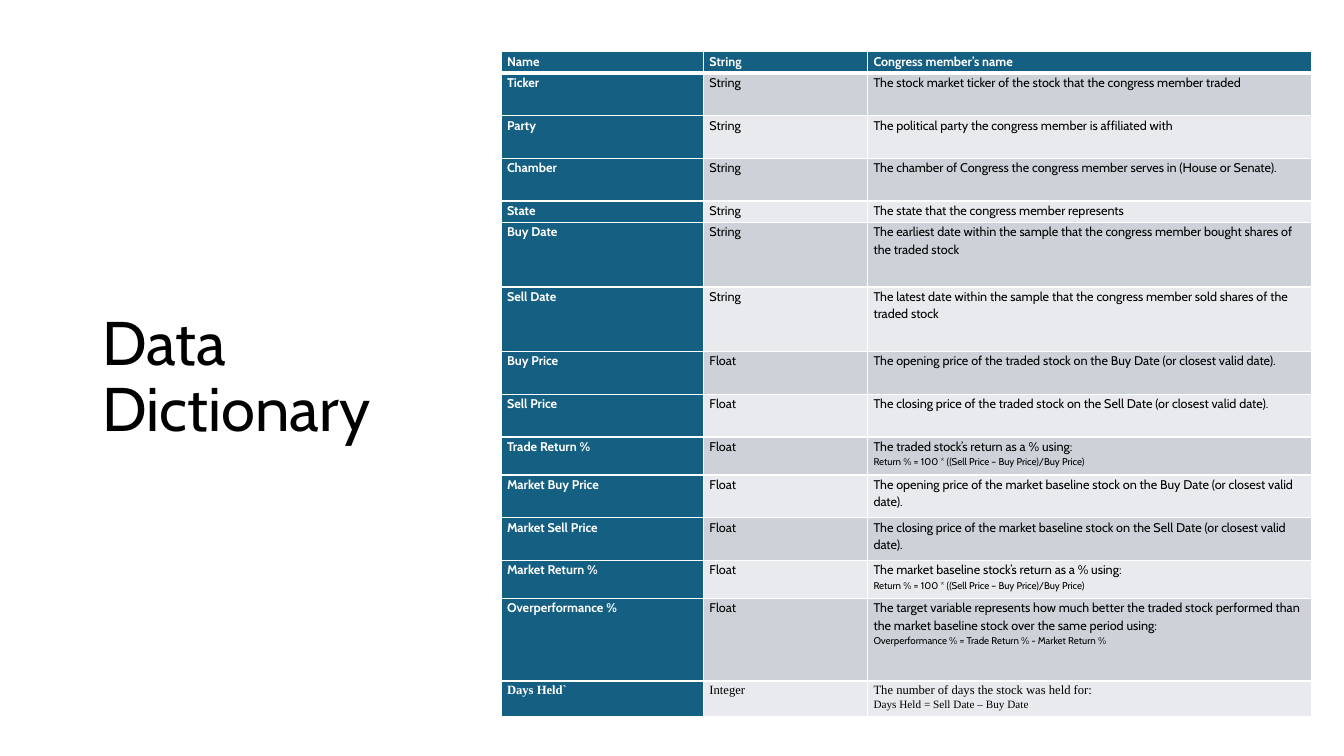
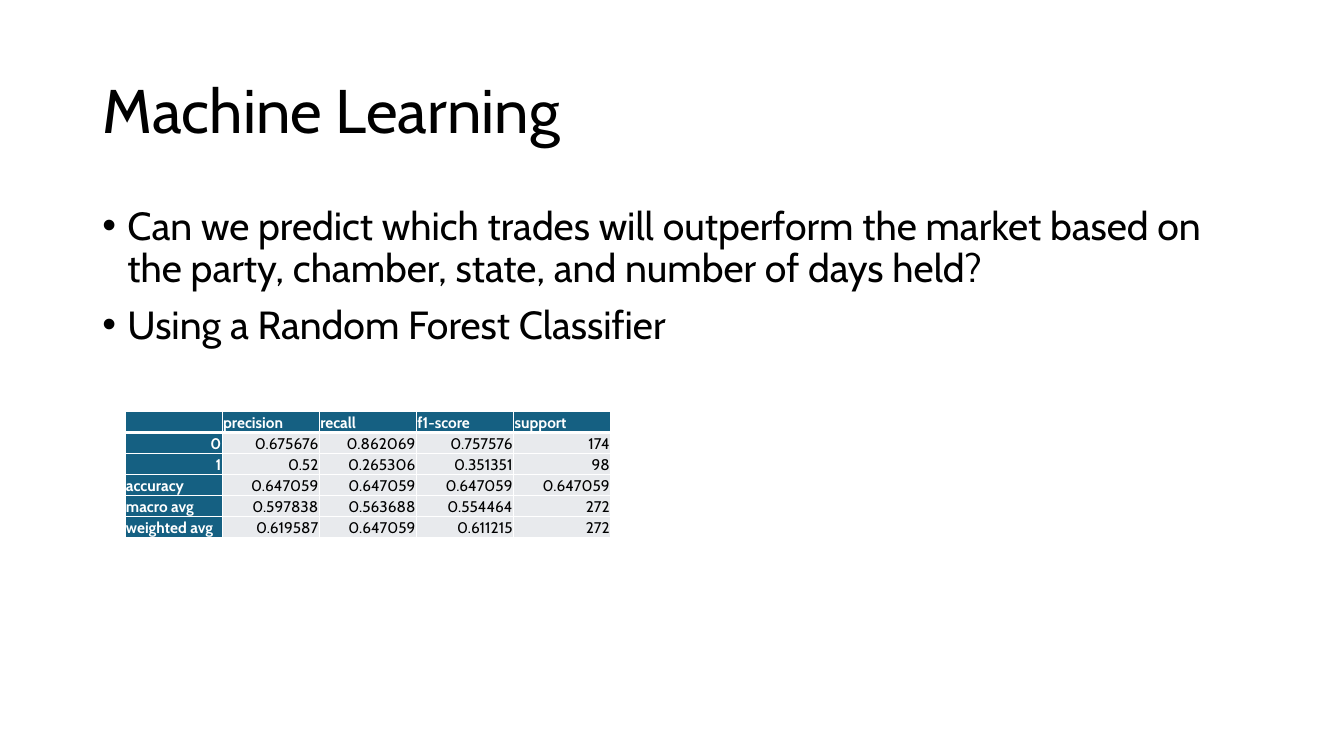
import dataclasses

import lxml.etree
import pptx
import pptx.dml.color
import pptx.enum.text
import pptx.oxml.ns
import pptx.util

Pt = pptx.util.Pt
ALIGN = pptx.enum.text.PP_ALIGN
ANCHOR = pptx.enum.text.MSO_ANCHOR


@dataclasses.dataclass(frozen=True)
class Theme:
    font: str = "Cabin"
    serif: str = "Times New Roman"
    ink: str = "000000"
    white: str = "FFFFFF"
    header: str = "156082"
    band_dark: str = "CCD2D8"
    band_light: str = "E8EAED"
    title_size: float = 44
    body_size: float = 28
    dictionary_size: float = 9
    formula_size: float = 7
    score_size: float = 11
    rule: float = 1
    header_rule: float = 3


THEME = Theme()
SLIDE_SIZE = (960, 540)
TITLE_ONLY = 5
RETURN_FORMULA = "Return % = 100 * ((Sell Price – Buy Price)/Buy Price)"

# Row height, then name, type, description and an optional formula.
DICTIONARY = [
    (15.2, "Name", "String", "Congress member’s name"),
    (30.5, "Ticker", "String", "The stock market ticker of the stock that the congress member traded"),
    (30.5, "Party", "String", "The political party the congress member is affiliated with"),
    (30.5, "Chamber", "String", "The chamber of Congress the congress member serves in (House or Senate)."),
    (15.2, "State", "String", "The state that the congress member represents"),
    (46.2, "Buy Date", "String",
     "The earliest date within the sample that the congress member bought shares of the traded stock"),
    (46.2, "Sell Date", "String",
     "The latest date within the sample that the congress member sold shares of the traded stock"),
    (30.5, "Buy Price", "Float",
     "The opening price of the traded stock on the Buy Date (or closest valid date)."),
    (30.5, "Sell Price", "Float",
     "The closing price of the traded stock on the Sell Date (or closest valid date)."),
    (27.2, "Trade Return %", "Float", "The traded stock’s return as a % using:", RETURN_FORMULA),
    (30.5, "Market Buy Price", "Float",
     "The opening price of the market baseline stock on the Buy Date (or closest valid date)."),
    (30.5, "Market Sell Price", "Float",
     "The closing price of the market baseline stock on the Sell Date (or closest valid date)."),
    (27.2, "Market Return %", "Float", "The market baseline stock’s return as a % using:", RETURN_FORMULA),
    (59, "Overperformance %", "Float",
     "The target variable represents how much better the traded stock performed than the market "
     "baseline stock over the same period using:",
     "Overperformance % = Trade Return % - Market Return %"),
    (25.2, "Days Held`", "Integer", "The number of days the stock was held for:",
     "Days Held = Sell Date – Buy Date"),
]
DICTIONARY_COLUMNS = [144.6, 117.2, 317.2]

QUESTIONS = [
    "Can we predict which trades will outperform the market based on the party, chamber, state, "
    "and number of days held?",
    "Using a Random Forest Classifier",
]
SCORES = [
    ("", "precision", "recall", "f1-score", "support"),
    ("0", "0.675676", "0.862069", "0.757576", "174"),
    ("1", "0.52", "0.265306", "0.351351", "98"),
    ("accuracy", "0.647059", "0.647059", "0.647059", "0.647059"),
    ("macro avg", "0.597838", "0.563688", "0.554464", "272"),
    ("weighted avg", "0.619587", "0.647059", "0.611215", "272"),
]
SCORE_COLUMN, SCORE_ROW = 69.4, 15


def add_xml(parent, tag, **attributes):
    return lxml.etree.SubElement(parent, pptx.oxml.ns.qn(tag), attributes)


def write(frame, text, *, size, color=THEME.ink, font=THEME.font, bold=False,
          align=ALIGN.LEFT, spacing=1.0, before=0, bullet=False, append=False):
    """Put text in the first paragraph of a frame, or in a new one if append is set."""
    paragraph = frame.add_paragraph() if append else frame.paragraphs[0]
    paragraph.alignment = align
    paragraph.line_spacing = spacing
    paragraph.space_before = Pt(before)
    if bullet:
        properties = paragraph._p.get_or_add_pPr()
        properties.set("marL", str(Pt(18)))
        properties.set("indent", str(-Pt(18)))
        add_xml(properties, "a:buFont", typeface="Arial")
        add_xml(properties, "a:buChar", char="•")
    if not text:
        add_xml(paragraph._p, "a:endParaRPr", sz=str(int(size * 100)))
        return
    run = paragraph.add_run()
    run.text = text
    run.font.size = Pt(size)
    run.font.name = font
    run.font.bold = bold
    run.font.color.rgb = pptx.dml.color.RGBColor.from_string(color)


def add_titled_slide(presentation, title, left, top, width, height):
    slide = presentation.slides.add_slide(presentation.slide_layouts[TITLE_ONLY])
    shape = slide.shapes.title
    shape.left, shape.top, shape.width, shape.height = map(Pt, (left, top, width, height))
    frame = shape.text_frame
    frame.word_wrap = True
    frame.auto_size = pptx.enum.text.MSO_AUTO_SIZE.NONE
    frame.vertical_anchor = ANCHOR.MIDDLE
    write(frame, title, size=THEME.title_size, spacing=0.9)
    return slide


def add_table(slide, left, top, columns, rows):
    shape = slide.shapes.add_table(len(rows), len(columns), Pt(left), Pt(top),
                                   Pt(sum(columns)), Pt(sum(rows)))
    table = shape.table
    table.first_col = True
    for column, width in zip(table.columns, columns):
        column.width = Pt(width)
    for row, height in zip(table.rows, rows):
        row.height = Pt(height)
    return table


def style_cell(cell, row, fill, margins, anchor):
    """Set fill, margins and white rules; the rule below the header row is thicker."""
    cell.margin_left, cell.margin_top, cell.margin_right, cell.margin_bottom = map(Pt, margins)
    cell.vertical_anchor = anchor
    properties = cell._tc.get_or_add_tcPr()
    widths = {
        "a:lnL": THEME.rule,
        "a:lnR": THEME.rule,
        "a:lnT": THEME.header_rule if row == 1 else THEME.rule,
        "a:lnB": THEME.header_rule if row == 0 else THEME.rule,
    }
    for tag, width in widths.items():
        line = add_xml(properties, tag, w=str(Pt(width)))
        add_xml(add_xml(line, "a:solidFill"), "a:srgbClr", val=THEME.white)
    cell.fill.solid()
    cell.fill.fore_color.rgb = pptx.dml.color.RGBColor.from_string(fill)


def text_colors(is_header):
    return {"color": THEME.white if is_header else THEME.ink, "bold": is_header}


def build_dictionary(presentation):
    slide = add_titled_slide(presentation, "Data Dictionary", 66, 218, 251, 104.5)
    table = add_table(slide, 358, 37, DICTIONARY_COLUMNS, [entry[0] for entry in DICTIONARY])
    last = len(DICTIONARY) - 1
    for row, (_, name, kind, *description) in enumerate(DICTIONARY):
        band = THEME.band_dark if row % 2 else THEME.band_light
        font = THEME.serif if row == last else THEME.font
        formula_size = THEME.formula_size + (row == last)
        for column, lines in enumerate(([name], [kind], description)):
            is_header = row == 0 or column == 0
            cell = table.cell(row, column)
            style_cell(cell, row, THEME.header if is_header else band, (4.2, 0, 4.2, 0), ANCHOR.TOP)
            for index, line in enumerate(lines):
                write(cell.text_frame, line, size=formula_size if index else THEME.dictionary_size,
                      font=font, spacing=1.15, append=index > 0, **text_colors(is_header))


def build_machine_learning(presentation):
    slide = add_titled_slide(presentation, "Machine Learning", 66, 28.75, 828, 104.5)
    frame = slide.shapes.add_textbox(Pt(66), Pt(144), Pt(828), Pt(342.5)).text_frame
    frame.word_wrap = True
    for index, question in enumerate(QUESTIONS):
        write(frame, question, size=THEME.body_size, spacing=0.9, before=10,
              bullet=True, append=index > 0)

    table = add_table(slide, 89.3, 294, [SCORE_COLUMN] * len(SCORES[0]), [SCORE_ROW] * len(SCORES))
    for row, values in enumerate(SCORES):
        for column, value in enumerate(values):
            is_header = row == 0 or column == 0
            is_number = value[:1].isdigit()
            cell = table.cell(row, column)
            style_cell(cell, row, THEME.header if is_header else THEME.band_light,
                       (0.7, 0.7, 0.7, 0), ANCHOR.BOTTOM)
            write(cell.text_frame, value, size=THEME.score_size,
                  align=ALIGN.RIGHT if is_number else ALIGN.LEFT, **text_colors(is_header))


def main():
    presentation = pptx.Presentation()
    presentation.slide_width, presentation.slide_height = map(Pt, SLIDE_SIZE)
    build_dictionary(presentation)
    build_machine_learning(presentation)
    presentation.save("out.pptx")


if __name__ == "__main__":
    main()
